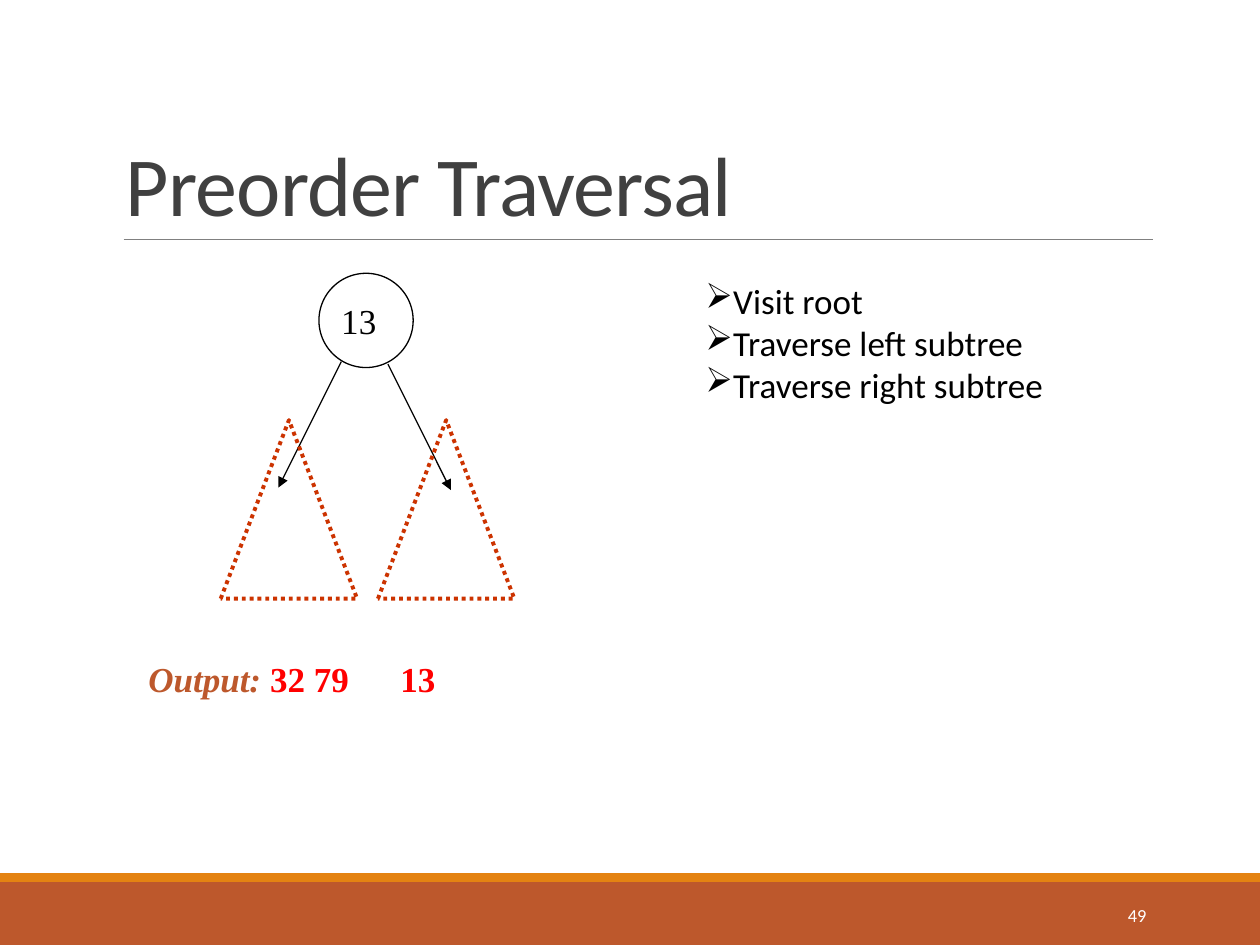
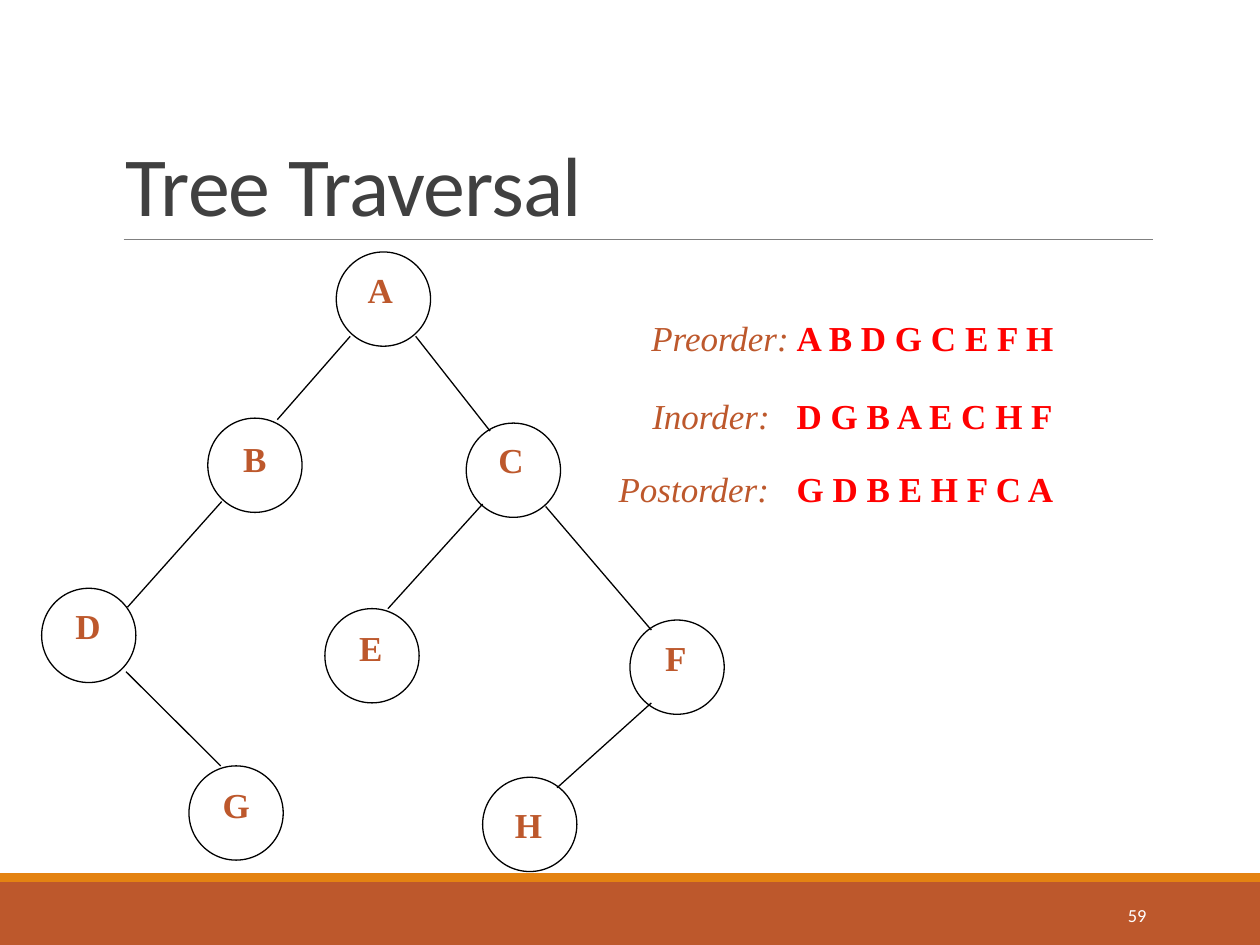
"""Build two lecture slides on binary tree traversal."""
from dataclasses import dataclass
from typing import Optional

import lxml.etree
import pptx
import pptx.dml.color
import pptx.enum.dml
import pptx.enum.shapes
import pptx.enum.text
import pptx.oxml.ns
import pptx.slide
import pptx.text.text
import pptx.util

Cm = pptx.util.Cm
Pt = pptx.util.Pt
RGBColor = pptx.dml.color.RGBColor
Anchor = pptx.enum.text.MSO_ANCHOR
Align = pptx.enum.text.PP_ALIGN
Preset = pptx.enum.shapes.MSO_SHAPE
Slide = pptx.slide.Slide
Paragraph = pptx.text.text._Paragraph
qn = pptx.oxml.ns.qn

RUST = RGBColor(0xBD, 0x58, 0x2C)
ORANGE = RGBColor(0xE4, 0x83, 0x12)
CHARCOAL = RGBColor(0x40, 0x40, 0x40)
GREY = RGBColor(0x80, 0x80, 0x80)
BLACK = RGBColor(0, 0, 0)
WHITE = RGBColor(0xFF, 0xFF, 0xFF)
RED = RGBColor(0xFF, 0, 0)
BRICK = RGBColor(0xCC, 0x33, 0)
SANS = "Calibri"
SERIF = "Times New Roman"

SLIDE_WIDTH, SLIDE_HEIGHT = 25.4, 19.05
NODE_SIZE = 1.9
LINE_HEIGHT = 1.27
TEXT_INSET = 0.25
ORDER_LEFT = 16.06


@dataclass(frozen=True)
class Box:
    """Place and size in centimetres."""
    left: float
    top: float
    width: float
    height: float

    def lengths(self) -> tuple:
        return tuple(Cm(n) for n in (self.left, self.top, self.width, self.height))


@dataclass(frozen=True)
class Style:
    """Look of a run of text."""
    color: RGBColor = BLACK
    font: str = SERIF
    size: float = 20
    bold: bool = False
    italic: bool = False


@dataclass(frozen=True)
class Node:
    """Tree node with its circle and label corners."""
    label: str
    left: float
    top: float
    label_left: float
    label_top: float
    label_width: float = 1.12
    style: Style = Style(RUST, bold=True)


@dataclass(frozen=True)
class Edge:
    """Line between two points."""
    x1: float
    y1: float
    x2: float
    y2: float
    color: RGBColor = BLACK
    weight: float = 0.75
    arrow: bool = False


@dataclass(frozen=True)
class Order:
    """Traversal name with the order in which it visits the nodes."""
    name: str
    visits: str
    left: float
    top: float
    width: float


TITLE = Style(CHARCOAL, SANS, 48)
PAGE_NUMBER = Style(WHITE, SANS, 10.5)
STEP = Style(font=SANS)
ORDER_NAME = Style(RUST, italic=True)
OUTPUT_NAME = Style(RUST, bold=True, italic=True)
RESULT = Style(RED, bold=True)

TITLE_RULE = Edge(2.49, 4.83, 23.24, 4.83, GREY, 0.5)
STEPS = ("Visit root", "Traverse left subtree", "Traverse right subtree")
ROOT = Node("13", 6.43, 5.51, 6.63, 5.92, 1.7, Style())
SUBTREE_EDGES = (
    Edge(6.88, 7.29, 5.61, 9.83, arrow=True),
    Edge(7.82, 7.34, 9.09, 9.88, arrow=True),
)
SUBTREES = tuple(Box(left, 8.47, 2.75, 3.6) for left in (4.45, 7.62))
NODES = (
    Node("A", 6.78, 5.08, 7.16, 5.28),
    Node("B", 4.19, 8.43, 4.65, 8.69),
    Node("C", 9.4, 8.53, 9.8, 8.71),
    Node("D", 0.84, 11.86, 1.27, 12.07),
    Node("E", 6.55, 12.27, 6.99, 12.5),
    Node("F", 12.7, 12.5, 13.16, 12.7),
    Node("G", 3.81, 15.44, 4.24, 15.67),
    Node("H", 9.73, 15.67, 10.13, 16.08),
)
EDGES = (
    Edge(7.06, 6.78, 5.59, 8.46),
    Edge(8.38, 6.78, 9.88, 8.69),
    Edge(4.47, 10.11, 2.57, 12.24),
    Edge(2.54, 13.54, 4.45, 15.44),
    Edge(9.73, 10.16, 7.82, 12.27),
    Edge(11, 10.21, 13.13, 12.7),
    Edge(13.13, 14.17, 11.23, 15.88),
)
ORDERS = (
    Order("Preorder:", "A B D G C E F H", 12.88, 6.25, 10.39),
    Order("Inorder:", "D G B A E C H F", 12.9, 7.82, 10.29),
    Order("Postorder:", "G D B E H F C A", 12.22, 9.3, 11.1),
)


def add_run(paragraph: Paragraph, text: str, style: Style) -> pptx.text.text._Run:
    """Append one styled run."""
    run = paragraph.add_run()
    run.text = text
    run.font.name = style.font
    run.font.size = Pt(style.size)
    run.font.bold = style.bold
    run.font.italic = style.italic
    run.font.color.rgb = style.color
    return run


def add_text(slide: Slide, box: Box, anchor: Anchor = Anchor.TOP) -> pptx.text.text.TextFrame:
    """Add a wrapping text frame."""
    frame = slide.shapes.add_textbox(*box.lengths()).text_frame
    frame.word_wrap = True
    frame.vertical_anchor = anchor
    return frame


def add_outline(slide: Slide, preset: Preset, box: Box, color: Optional[RGBColor],
                weight: float = 0.75, fill: Optional[RGBColor] = None) -> pptx.dml.line.LineFormat:
    """Add a preset shape and return its line."""
    shape = slide.shapes.add_shape(preset, *box.lengths())
    shape.shadow.inherit = False
    if fill is None:
        shape.fill.background()
    else:
        shape.fill.solid()
        shape.fill.fore_color.rgb = fill
    if color is None:
        shape.line.fill.background()
    else:
        shape.line.color.rgb = color
        shape.line.width = Pt(weight)
    return shape.line


def add_edge(slide: Slide, edge: Edge) -> None:
    """Draw a straight line, with an arrowhead if wanted."""
    ends = (Cm(n) for n in (edge.x1, edge.y1, edge.x2, edge.y2))
    line = slide.shapes.add_connector(pptx.enum.shapes.MSO_CONNECTOR.STRAIGHT, *ends)
    line.line.color.rgb = edge.color
    line.line.width = Pt(edge.weight)
    properties = line.element.spPr
    if edge.arrow:
        lxml.etree.SubElement(properties.find(qn("a:ln")), qn("a:tailEnd"), type="triangle")
    lxml.etree.SubElement(properties, qn("a:effectLst"))


def add_node(slide: Slide, node: Node) -> None:
    """Draw a circle and its label."""
    add_outline(slide, Preset.OVAL, Box(node.left, node.top, NODE_SIZE, NODE_SIZE), BLACK)
    label = add_text(slide, Box(node.label_left, node.label_top, node.label_width, LINE_HEIGHT))
    add_run(label.paragraphs[0], node.label, node.style)


def add_order(slide: Slide, order: Order) -> None:
    """Write a traversal name and, at a shared tab stop, its visits."""
    frame = add_text(slide, Box(order.left, order.top, order.width, LINE_HEIGHT))
    paragraph = frame.paragraphs[0]
    tabs = lxml.etree.SubElement(paragraph._p.get_or_add_pPr(), qn("a:tabLst"))
    stop = Cm(ORDER_LEFT - order.left - TEXT_INSET)
    lxml.etree.SubElement(tabs, qn("a:tab"), pos=str(int(stop)), algn="l")
    add_run(paragraph, f"{order.name}\t", ORDER_NAME)
    add_run(paragraph, order.visits, RESULT)


def add_slide(deck: pptx.presentation.Presentation, title: str, number: int) -> Slide:
    """Add a slide with the shared bands, rule, title and number."""
    slide = deck.slides.add_slide(deck.slide_layouts[6])
    for top, height, color in ((17.78, 1.27, RUST), (17.6, 0.18, ORANGE)):
        add_outline(slide, Preset.RECTANGLE, Box(0, top, SLIDE_WIDTH, height), None, fill=color)
    add_edge(slide, TITLE_RULE)
    heading = add_text(slide, Box(2.29, 0.79, 20.95, 4.04), Anchor.BOTTOM).paragraphs[0]
    heading.line_spacing = 0.85
    add_run(heading, title, TITLE).font._element.set("spc", "-50")
    footer = add_text(slide, Box(20.62, 17.93, 2.74, 1.02), Anchor.MIDDLE).paragraphs[0]
    footer.alignment = Align.RIGHT
    add_run(footer, str(number), PAGE_NUMBER)
    return slide


def build_preorder(deck: pptx.presentation.Presentation) -> None:
    """Show the preorder steps beside a root with two subtrees."""
    slide = add_slide(deck, "Preorder Traversal", 49)
    add_node(slide, ROOT)
    for edge in SUBTREE_EDGES:
        add_edge(slide, edge)
    steps = add_text(slide, Box(13.97, 5.51, 8.74, 4.37))
    for index, step in enumerate(STEPS):
        paragraph = steps.add_paragraph() if index else steps.paragraphs[0]
        lxml.etree.SubElement(paragraph._p.get_or_add_pPr(), qn("a:buChar"), char="➢")
        add_run(paragraph, step, STEP)
    output = add_text(slide, Box(2.74, 13.13, 5.36, LINE_HEIGHT)).paragraphs[0]
    add_run(output, "Output: ", OUTPUT_NAME)
    add_run(output, "32 79", RESULT)
    root_output = add_text(slide, Box(7.82, 13.13, 1.35, LINE_HEIGHT))
    add_run(root_output.paragraphs[0], "13", RESULT)
    for subtree in SUBTREES:
        outline = add_outline(slide, Preset.FLOWCHART_EXTRACT, subtree, BRICK, 2.25)
        outline.dash_style = pptx.enum.dml.MSO_LINE.ROUND_DOT


def build_tree(deck: pptx.presentation.Presentation) -> None:
    """Show a tree beside its three traversal orders."""
    slide = add_slide(deck, "Tree Traversal", 59)
    for node in NODES:
        add_node(slide, node)
    for edge in EDGES:
        add_edge(slide, edge)
    for order in ORDERS:
        add_order(slide, order)


def main() -> None:
    """Build and save the deck."""
    deck = pptx.Presentation()
    deck.slide_width, deck.slide_height = Cm(SLIDE_WIDTH), Cm(SLIDE_HEIGHT)
    build_preorder(deck)
    build_tree(deck)
    deck.save("out.pptx")


if __name__ == "__main__":
    main()
